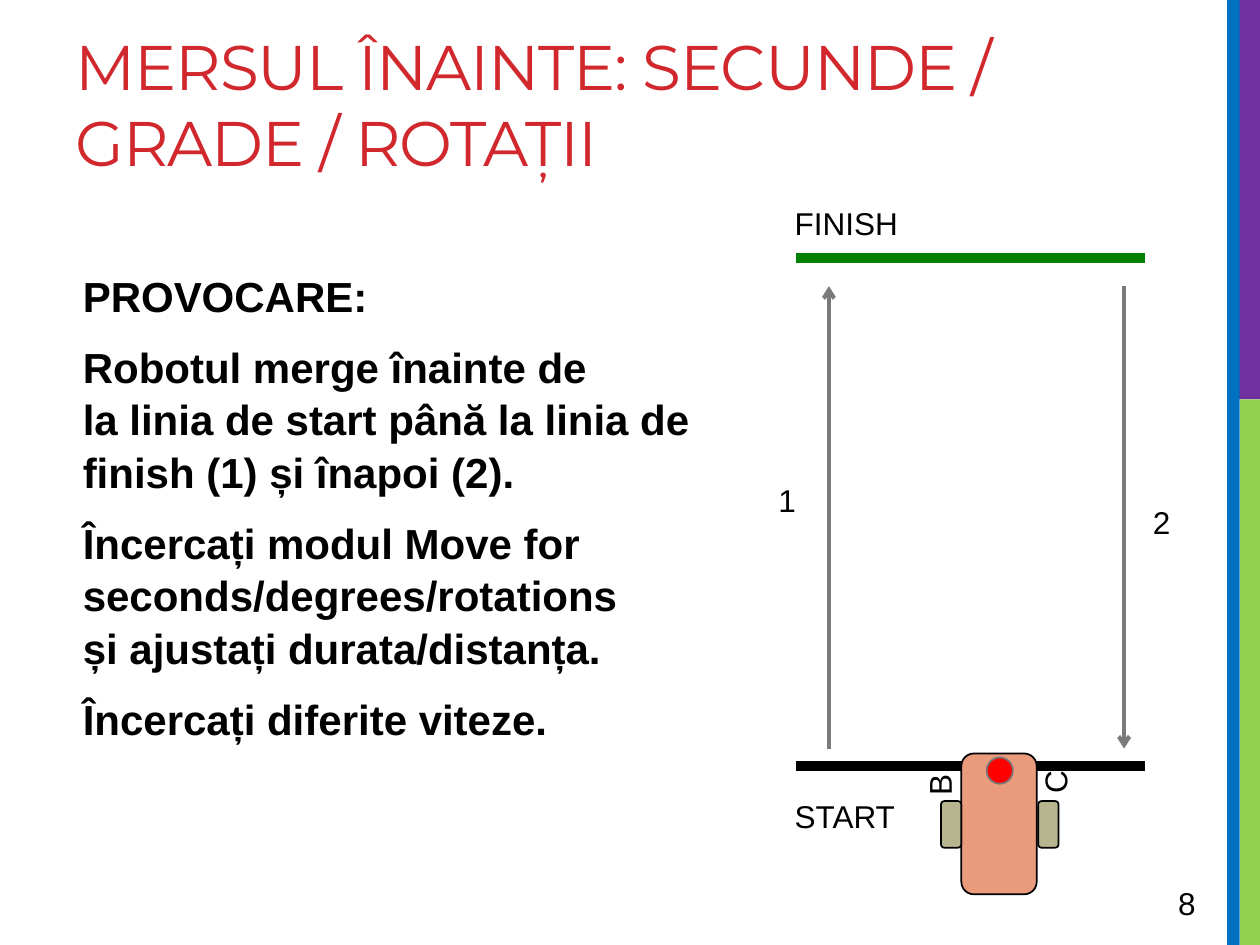
from pptx import Presentation
from pptx import util as u
from pptx.dml.color import RGBColor
from pptx.enum import shapes, text
from pptx.oxml.ns import qn
from lxml import etree

TITLE = "MERSUL ÎNAINTE: SECUNDE / GRADE / ROTAȚII"
HARD_SPACE = chr(160)
CHALLENGE = [
    "PROVOCARE:",
    "Robotul merge înainte~de la~linia~de start~până~la~linia~de finish (1)~și~înapoi~(2).",
    "Încercați~modul~Move for seconds/degrees/rotations și~ajustați~durata/distanța.",
    "Încercați~diferite~viteze.",
]
SIDE_BARS = [
    (25, 8.05, 0.4, 11, "92D050"),
    (24.9, 0, 0.5, 8.05, "7030A0"),
    (24.74, 0, 0.25, 19.05, "0070C0"),
]
TRACK_LEFT, TRACK_RIGHT = 16.05, 23.09
TRACK_LINES = [(5.2, "008000"), (15.44, "000000")]
ARROWS = [(16.71, 15.09, 5.77), (22.66, 5.77, 15.09)]
LABELS = [
    ("1", 15.44, 9.58, 0.86, True),
    ("2", 22.99, 10.01, 0.86, True),
    ("FINISH", 15.77, 3.99, 2.62, False),
    ("START", 15.77, 15.95, 2.54, False),
    ("8", 23.5, 17.7, 1.75, True),
]
ROUNDED, OVAL = shapes.MSO_SHAPE.ROUNDED_RECTANGLE, shapes.MSO_SHAPE.OVAL
ROBOT_PARTS = [
    (ROUNDED, 19.38, 15.19, 1.52, 2.84, "EA9B7C", "000000"),
    (ROUNDED, 20.93, 16.15, 0.41, 0.94, "B6B590", "000000"),
    (ROUNDED, 18.97, 16.15, 0.41, 0.94, "B6B590", "000000"),
    (OVAL, 19.89, 15.27, 0.53, 0.53, "FF0000", "777777"),
]
MOTORS = [("B", 18.24, 15.34), ("C", 20.57, 15.29)]


def color(hex_value):
    return RGBColor.from_string(hex_value)


def box(*lengths):
    return [u.Cm(length) for length in lengths]


def format_runs(paragraph, name, size, hex_value, bold=False):
    for run in paragraph.runs:
        run.font.name = name
        run.font.size = u.Pt(size)
        run.font.bold = bold
        run.font.color.rgb = color(hex_value)


def add_block(parent, kind, left, top, width, height, fill, outline=None):
    shape = parent.add_shape(kind, *box(left, top, width, height))
    shape.shadow.inherit = False
    shape.fill.solid()
    shape.fill.fore_color.rgb = color(fill)
    if outline:
        shape.line.color.rgb = color(outline)
        shape.line.width = u.Pt(1)
    else:
        shape.line.fill.background()


def add_line(parent, start, end, hex_value, width, arrow=False):
    line = parent.add_connector(shapes.MSO_CONNECTOR.STRAIGHT, *box(*start, *end))
    line.line.color.rgb = color(hex_value)
    line.line.width = u.Pt(width)
    if arrow:
        etree.SubElement(line.line._get_or_add_ln(), qn("a:tailEnd"), type="arrow")
    etree.SubElement(line._element.spPr, qn("a:effectLst"))


def add_label(parent, words, left, top, width, height=1.02, wrap=True, rotation=0):
    label = parent.add_textbox(*box(left, top, width, height))
    label.rotation = rotation
    label.text_frame.word_wrap = wrap
    label.text_frame.text = words
    format_runs(label.text_frame.paragraphs[0], "Arial", 18, "000000")


def add_title(slide):
    title = slide.shapes.title
    title.left, title.top, title.width, title.height = box(1.27, 0.43, 22.91, 3.81)
    frame = title.text_frame
    frame.text = TITLE
    frame.auto_size = text.MSO_AUTO_SIZE.NONE
    frame.vertical_anchor = text.MSO_ANCHOR.TOP
    paragraph = frame.paragraphs[0]
    paragraph.alignment = text.PP_ALIGN.LEFT
    format_runs(paragraph, "Montserrat", 36, "D1282E")
    paragraph.runs[0].font._element.set("spc", "-60")


def add_challenge(slide):
    frame = slide.shapes.add_textbox(*box(1.42, 5.28, 13.41, 10.52)).text_frame
    frame.word_wrap = True
    for index, words in enumerate(CHALLENGE):
        paragraph = frame.add_paragraph() if index else frame.paragraphs[0]
        paragraph.text = words.replace("~", HARD_SPACE)
        paragraph.line_spacing = 1.04
        paragraph.space_before = u.Pt(4.8 if index else 0)
        paragraph.space_after = u.Pt(6)
        format_runs(paragraph, "Arial", 24, "000000", bold=True)


def main():
    presentation = Presentation()
    presentation.slide_width, presentation.slide_height = box(25.4, 19.05)
    slide = presentation.slides.add_slide(presentation.slide_layouts[5])

    for *place, fill in SIDE_BARS:
        add_block(slide.shapes, shapes.MSO_SHAPE.RECTANGLE, *place, fill)
    add_title(slide)
    add_challenge(slide)

    for y, hex_value in TRACK_LINES:
        add_line(slide.shapes, (TRACK_RIGHT, y), (TRACK_LEFT, y), hex_value, 6)
    for x, start, end in ARROWS:
        add_line(slide.shapes, (x, start), (x, end), "7A7A7A", 2.25, arrow=True)
    for words, left, top, width, wrap in LABELS:
        add_label(slide.shapes, words, left, top, width, wrap=wrap)

    robot = slide.shapes.add_group_shape().shapes
    for part in ROBOT_PARTS:
        add_block(robot, *part)
    for letter, left, top in MOTORS:
        add_label(robot, letter, left, top, 1.14, 0.76, rotation=270)

    presentation.save("out.pptx")


if __name__ == "__main__":
    main()
